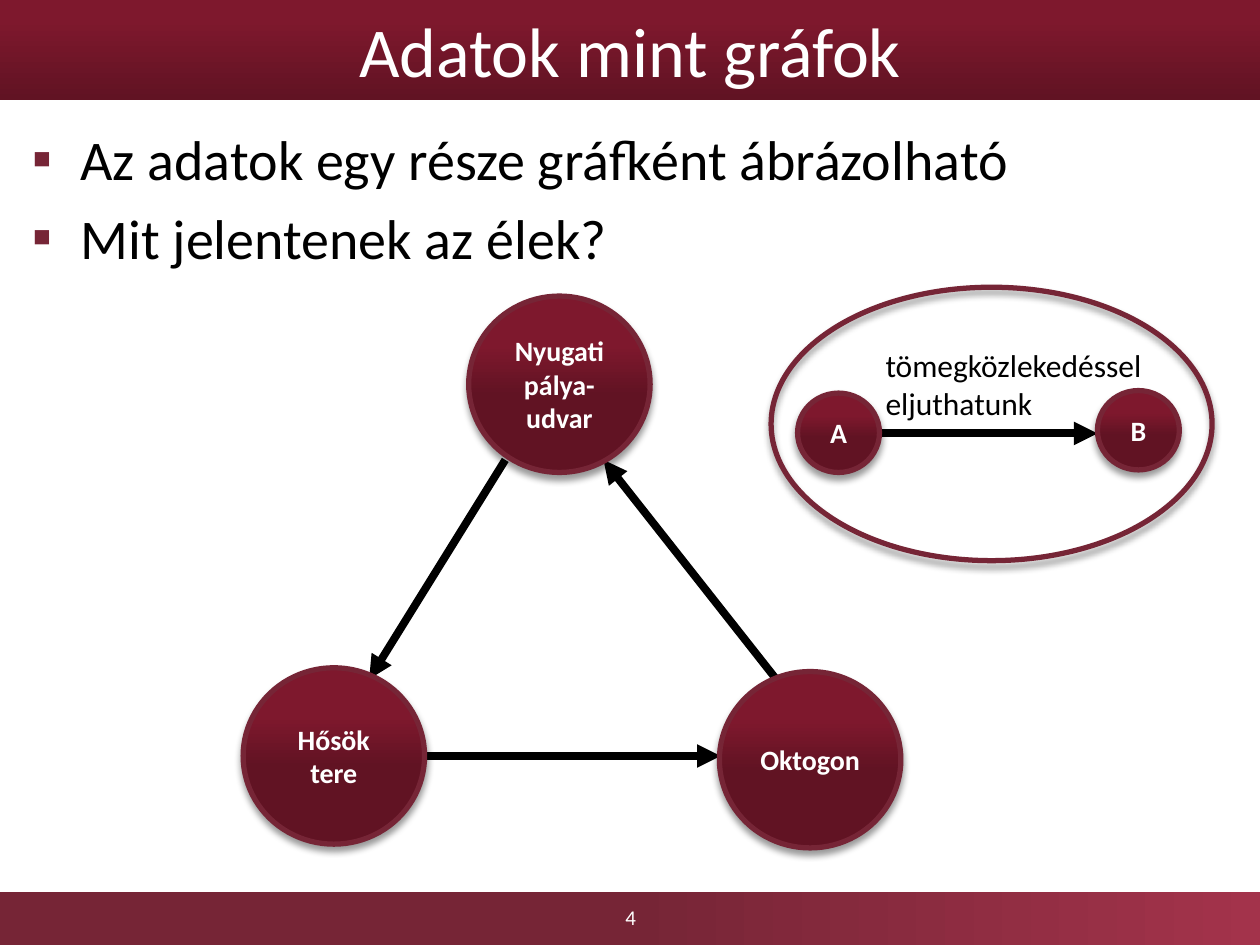
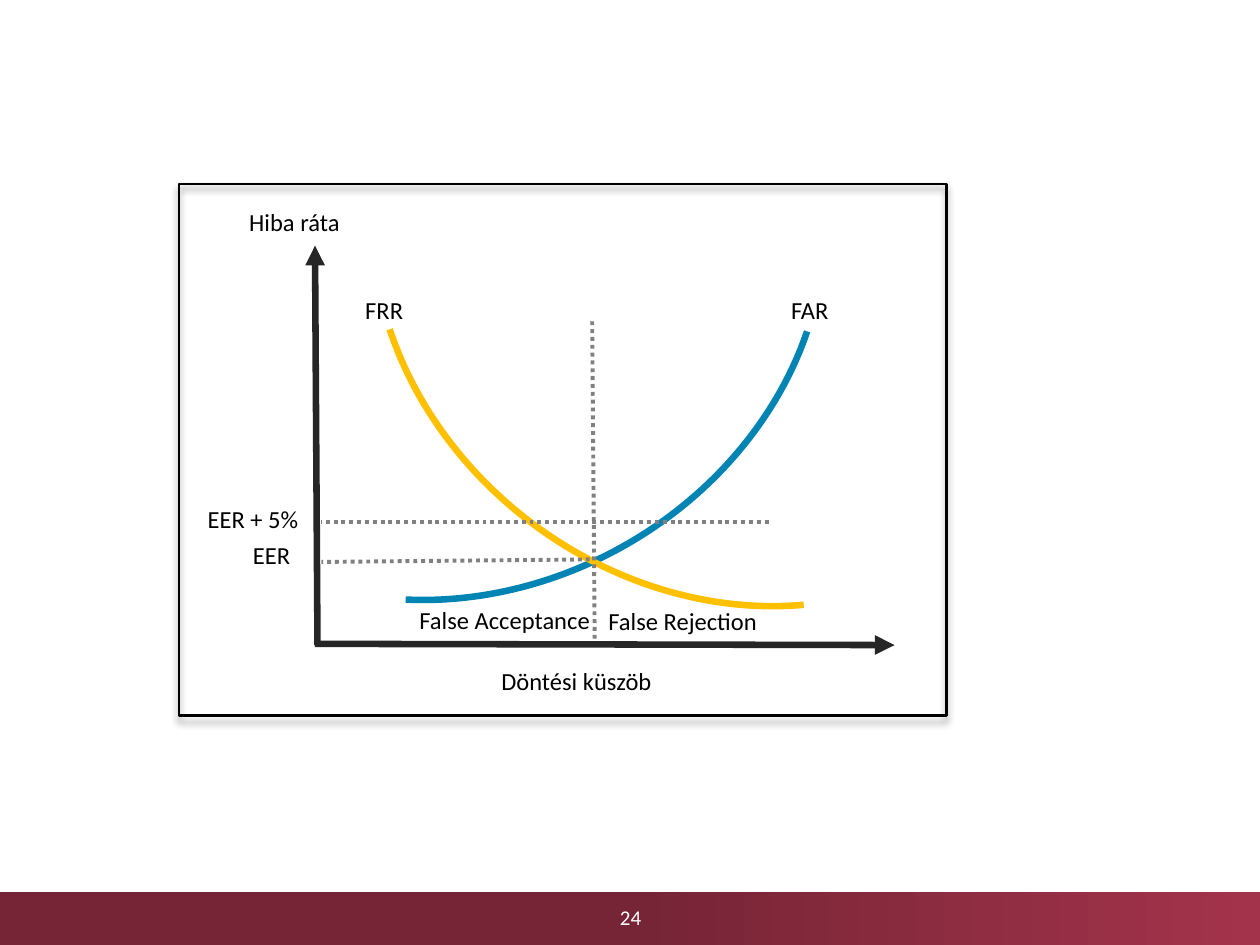
from lxml import etree
from pptx import Presentation
from pptx.dml.color import RGBColor
from pptx.enum.dml import MSO_LINE
from pptx.enum.shapes import MSO_CONNECTOR, MSO_SHAPE
from pptx.enum.text import MSO_ANCHOR, MSO_AUTO_SIZE, PP_ALIGN
from pptx.oxml.ns import qn
from pptx.util import Pt

PX = 9144
FONT = "Calibri"
RECT, OVAL, ARC = MSO_SHAPE.RECTANGLE, MSO_SHAPE.OVAL, MSO_SHAPE.ARC
STRAIGHT = MSO_CONNECTOR.STRAIGHT
DOTTED = MSO_LINE.ROUND_DOT
TOP, MIDDLE = MSO_ANCHOR.TOP, MSO_ANCHOR.MIDDLE
LEFT, CENTER = PP_ALIGN.LEFT, PP_ALIGN.CENTER
NO_FIT = MSO_AUTO_SIZE.NONE

BLACK = RGBColor(0x00, 0x00, 0x00)
WHITE = RGBColor(0xFF, 0xFF, 0xFF)
WINE = RGBColor(0x76, 0x25, 0x36)
ROSE = RGBColor(0xA3, 0x33, 0x4B)
DARK_RED = RGBColor(0x61, 0x13, 0x23)
RED = RGBColor(0x7E, 0x18, 0x2D)
BRIGHT_RED = RGBColor(0x81, 0x16, 0x2D)
CHARCOAL = RGBColor(0x26, 0x26, 0x26)
GRAY = RGBColor(0x80, 0x80, 0x80)
BLUE = RGBColor(0x00, 0x84, 0xB4)
YELLOW = RGBColor(0xFF, 0xC0, 0x00)

BAND_STOPS = [(0, WINE), (50, WINE), (100, ROSE)]
TITLE_STOPS = [(0, DARK_RED), (80, RED), (100, BRIGHT_RED)]
NODE_STOPS = [(44, DARK_RED), (72, RED), (78, BRIGHT_RED)]


def px(*lengths):
    return [n * PX for n in lengths]


def child(parent, tag, **attrs):
    return etree.SubElement(parent, qn(tag), {k: str(v) for k, v in attrs.items()})


class Deck:
    def __init__(self):
        self.prs = Presentation()
        self.prs.slide_width, self.prs.slide_height = px(1000, 750)
        self.slide = None

    def new_slide(self, layout, number):
        self.slide = self.prs.slides.add_slide(self.prs.slide_layouts[layout])
        band = self.shape(RECT, (0, 708, 1000, 42))
        self.gradient(band, BAND_STOPS, 0)
        self.text((388, 708, 225, 40), [number], 12, WHITE, CENTER, MIDDLE)

    def add_lines(self, tf, lines, size, color, align=LEFT, bold=False):
        for i, line in enumerate(lines):
            p = tf.add_paragraph() if i else tf.paragraphs[0]
            p.alignment = align
            r = p.add_run()
            r.text = line
            r.font.name, r.font.size, r.font.bold = FONT, Pt(size), bold
            r.font.color.rgb = color

    def gradient(self, sp, stops, angle):
        sp.fill.gradient()
        sp.fill.gradient_angle = angle
        gs_lst = next(sp._element.spPr.iter(qn("a:gsLst")))
        for gs in list(gs_lst):
            gs_lst.remove(gs)
        for pos, color in stops:
            gs = child(gs_lst, "a:gs", pos=pos * 1000)
            child(gs, "a:srgbClr", val=color)

    def shadow(self, sp):
        effects = sp._element.spPr.find(qn("a:effectLst"))
        outer = child(effects, "a:outerShdw", blurRad=Pt(4), dist=Pt(3),
                      dir=5400000, rotWithShape=0)
        child(child(outer, "a:srgbClr", val=BLACK), "a:alpha", val=40000)

    def shape(self, kind, box, line=None, width=0):
        sp = self.slide.shapes.add_shape(kind, *px(*box))
        sp.fill.background()
        if line is None:
            sp.line.fill.background()
        else:
            sp.line.color.rgb = line
            sp.line.width = Pt(width)
        sp.shadow.inherit = False
        return sp

    def outline(self, kind, box, line, width):
        self.shadow(self.shape(kind, box, line, width))

    def node(self, box, lines):
        sp = self.shape(OVAL, box, WINE, 3)
        self.gradient(sp, NODE_STOPS, 90)
        self.shadow(sp)
        sp.text_frame.vertical_anchor = MIDDLE
        self.add_lines(sp.text_frame, lines, 16, WHITE, CENTER, True)

    def curve(self, box, rotation, start, end, color):
        sp = self.shape(ARC, box, color, 3.75)
        sp.rotation = rotation
        sp.adjustments[0], sp.adjustments[1] = start, end

    def line(self, start, end, color, width, dash=None, arrow=False):
        cx = self.slide.shapes.add_connector(STRAIGHT, *px(*start, *end))
        cx.line.color.rgb = color
        cx.line.width = Pt(width)
        if dash:
            cx.line.dash_style = dash
        if arrow:
            child(cx._element.spPr.find(qn("a:ln")), "a:tailEnd", type="triangle")
        child(cx._element.spPr, "a:effectLst")

    def text(self, box, lines, size, color=BLACK, align=LEFT, anchor=TOP, wrap=True):
        tf = self.slide.shapes.add_textbox(*px(*box)).text_frame
        tf.word_wrap = wrap
        tf.vertical_anchor = anchor
        self.add_lines(tf, lines, size, color, align)

    def placeholder(self, sp, box, anchor):
        sp.left, sp.top, sp.width, sp.height = px(*box)
        tf = sp.text_frame
        tf.auto_size = NO_FIT
        tf.vertical_anchor = anchor
        return tf

    def title(self, text):
        sp = self.slide.shapes.title
        tf = self.placeholder(sp, (0, 0, 1000, 79), MIDDLE)
        self.gradient(sp, TITLE_STOPS, 90)
        self.add_lines(tf, [text], 40, WHITE, CENTER)

    def bullets(self, box, lines):
        tf = self.placeholder(self.slide.placeholders[1], box, TOP)
        self.add_lines(tf, lines, 32, BLACK)
        for i, p in enumerate(tf.paragraphs):
            p.space_before = Pt(6.4 if i else 0)
            pPr = p._p.get_or_add_pPr()
            pPr.set("marL", str(38 * PX))
            pPr.set("indent", str(-38 * PX))
            child(child(pPr, "a:buClr"), "a:srgbClr", val=WINE)
            child(pPr, "a:buFont", typeface=FONT)
            child(pPr, "a:buChar", char="▪")


def graph_slide(deck):
    deck.new_slide(1, "4")
    deck.title("Adatok mint gráfok")
    deck.bullets((16, 94, 874, 60), [
        "Az adatok egy része gráfként ábrázolható", "Mit jelentenek az élek?"])
    for start, end in [((338, 600), (572, 600)), ((616, 539), (479, 365)),
                       ((401, 365), (293, 539)), ((700, 344), (871, 344))]:
        deck.line(start, end, BLACK, 4.5, arrow=True)
    deck.text((693, 270, 226, 71), ["tömegközlekedéssel", "eljuthatunk"], 18)
    deck.outline(OVAL, (612, 228, 350, 217), WINE, 3)
    for x, y, lines in [(193, 530, ["Hősök tere"]), (571, 533, ["Oktogon"]),
                        (372, 235, ["Nyugati pálya-", "udvar"])]:
        deck.node((x, y, 144, 140), lines)
    for x, y, name in [(633, 312, "A"), (871, 310, "B")]:
        deck.node((x, y, 65, 63), [name])


def error_rate_slide(deck):
    deck.new_slide(6, "24")
    deck.outline(RECT, (142, 146, 609, 422), BLACK, 1.5)
    for start, end in [((250, 511), (710, 512)), ((252, 512), (250, 195))]:
        deck.line(start, end, CHARCOAL, 3.75, arrow=True)
    deck.curve((84, -29, 580, 494), 150.4, 131.51, 186.61, BLUE)
    deck.curve((281, -29, 580, 494), 216.5, 131.51, 188.47, YELLOW)
    for start, end in [((470, 255), (472, 507)), ((468, 444), (255, 446)),
                       ((610, 414), (255, 414))]:
        deck.line(start, end, GRAY, 2.25, dash=DOTTED)
    for x, y, w, label in [
            (188, 159, 93, "Hiba ráta"), (388, 524, 141, "Döntési küszöb"),
            (191, 424, 50, "EER"), (155, 395, 93, "EER + 5%"),
            (323, 475, 157, "False Acceptance"), (473, 476, 139, "False Rejection"),
            (280, 229, 51, "FRR"), (618, 229, 50, "FAR")]:
        deck.text((x, y, w, 34), [label], 14, wrap=False)


def main():
    deck = Deck()
    graph_slide(deck)
    error_rate_slide(deck)
    deck.prs.save("out.pptx")


if __name__ == "__main__":
    main()
